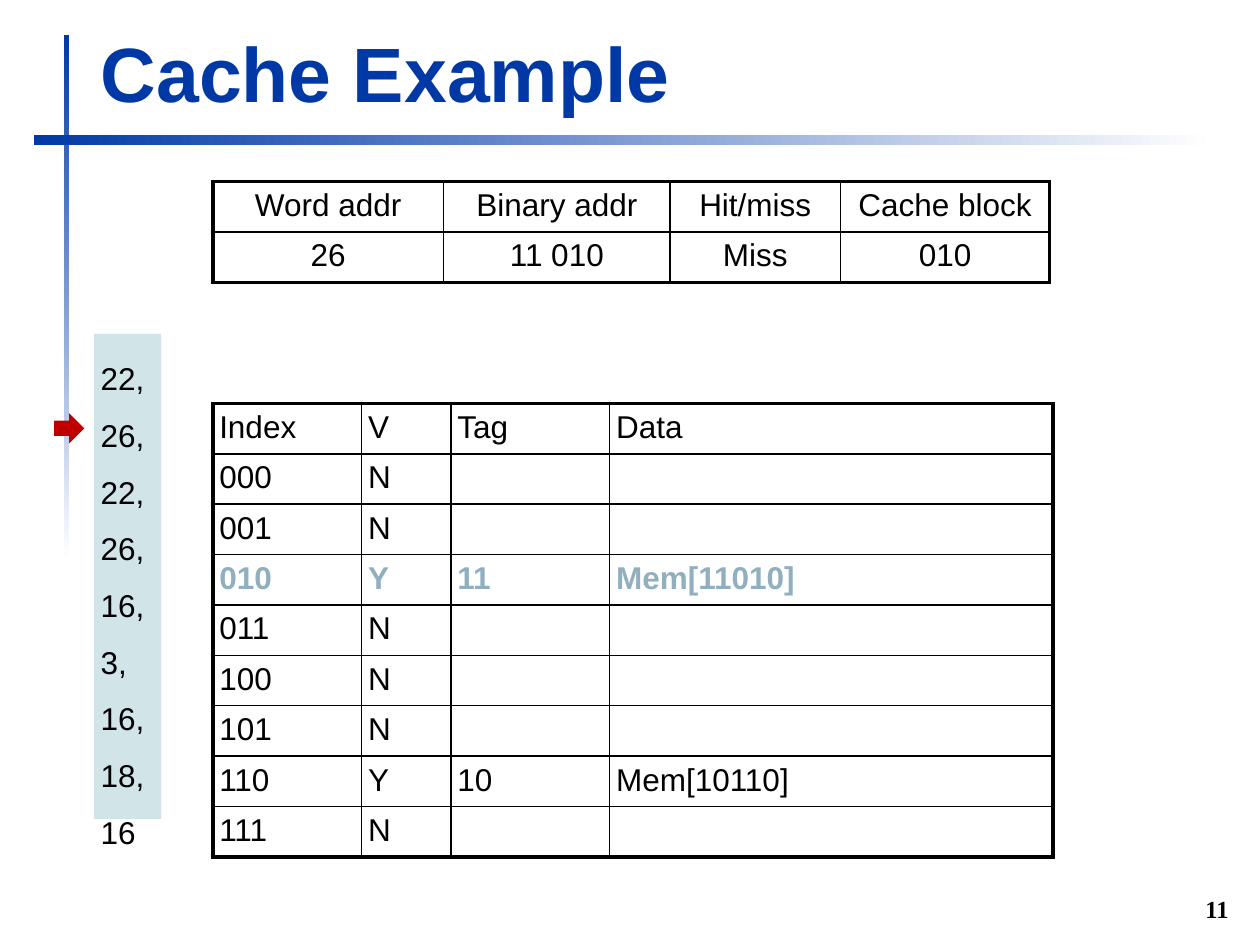
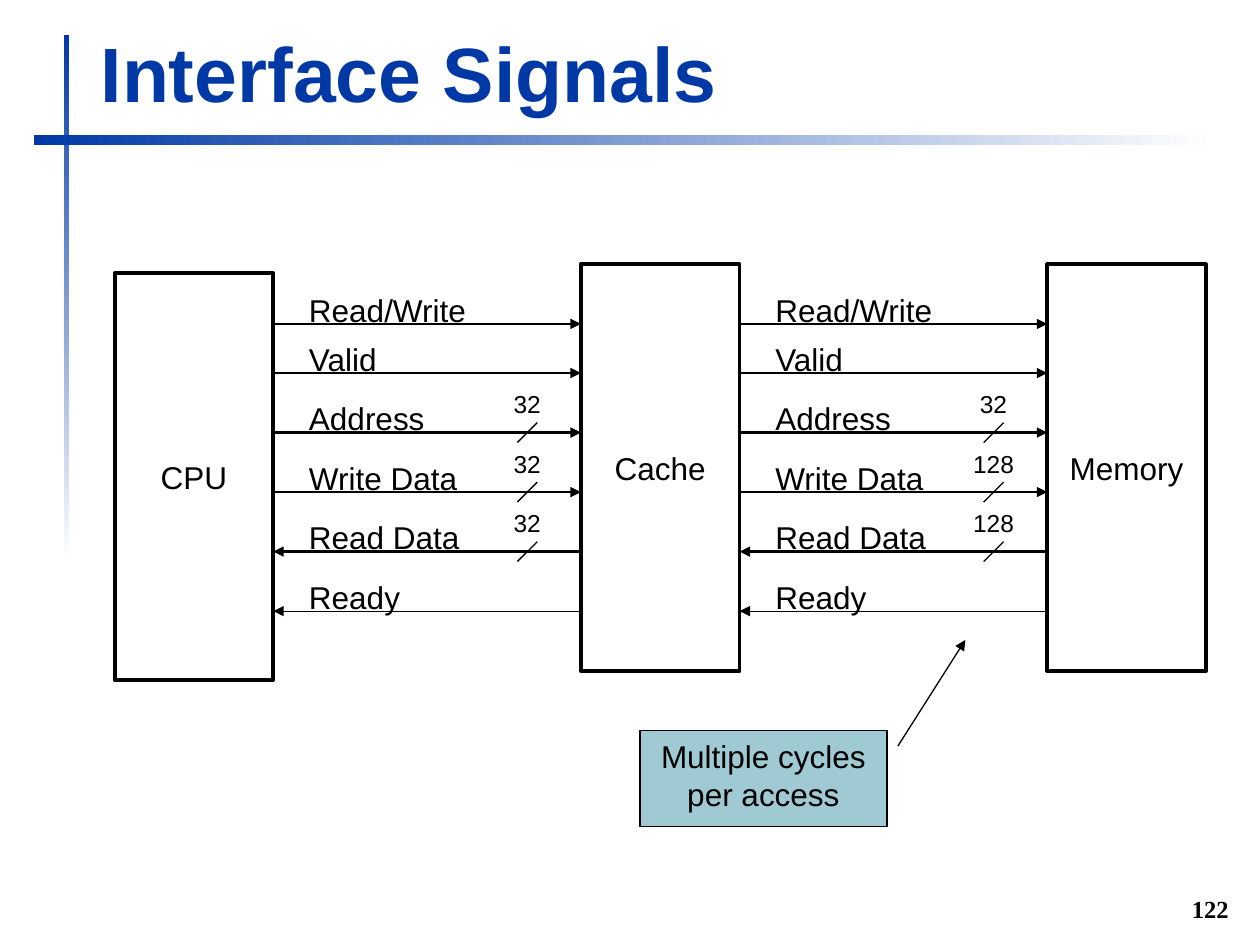
"""Build two slides on caches: a worked lookup and the interface signals."""
import lxml.etree
import pptx
import pptx.dml.color
import pptx.enum.shapes
import pptx.enum.text
import pptx.oxml.ns
import pptx.util

HUES = {"ink": "000000", "blue": "0039A6", "white": "FFFFFF",
        "teal": "9FCAD3", "fresh": "91AFBF", "red": "C00000"}
SANS = "Arial"
SERIF = "Times New Roman"
ALIGN = pptx.enum.text.PP_ALIGN
ANCHOR = pptx.enum.text.MSO_ANCHOR
FORM = pptx.enum.shapes.MSO_SHAPE
INSET = 0.13
ROW = 1.016

LOOKUP = [["Word addr", "Binary addr", "Hit/miss", "Cache block"],
          ["26", "11 010", "Miss", "010"]]
STORE = {"010": ("11", "Mem[11010]"), "110": ("10", "Mem[10110]")}
WORDS = ["22,", "26,", "22,", "26,", "16,", "3,", "16,", "18,", "16"]
WIRES = [("Read/Write", 3.45, 6.53, False), ("Valid", 1.65, 7.52, False),
         ("Address", 2.62, 8.72, False), ("Write Data", 3.28, 9.92, False),
         ("Read Data", 3.33, 11.12, True), ("Ready", 2.13, 12.32, True)]
UNITS = [("CPU", 5.51), ("Cache", 5.33), ("Memory", 5.33)]
LINKS = [{"Address": "32", "Write Data": "32", "Read Data": "32"},
         {"Address": "32", "Write Data": "128", "Read Data": "128"}]
UNIT_LEFT, UNIT_STEP, UNIT_WIDTH = 2.31, 9.4, 3.2


def hue(name):
    return pptx.dml.color.RGBColor.from_string(HUES[name])


def spot(*sizes):
    return [pptx.util.Cm(size) for size in sizes]


def node(parent, tag, **attrs):
    return lxml.etree.SubElement(parent, pptx.oxml.ns.qn(tag), attrs)


def pad(item):
    """Give a cell or a text frame the same inset on each side."""
    item.margin_left = item.margin_right = pptx.util.Cm(INSET)
    item.margin_top = item.margin_bottom = pptx.util.Cm(INSET)


def style(par, size=18, face=SANS, tint="ink", bold=False, align=ALIGN.LEFT):
    par.alignment = align
    par.font.size = pptx.util.Pt(size)
    par.font.name = face
    par.font.bold = bold
    par.font.color.rgb = hue(tint)


def write(shape, text, anchor=ANCHOR.TOP, wrap=False, **look):
    """Put styled text in a shape, one paragraph to a line."""
    frame = shape.text_frame
    frame.text = text
    frame.auto_size = pptx.enum.text.MSO_AUTO_SIZE.NONE
    frame.word_wrap = wrap
    frame.vertical_anchor = anchor
    pad(frame)
    for par in frame.paragraphs:
        style(par, **look)


def label(slide, box, text, **look):
    write(slide.shapes.add_textbox(*spot(*box)), text, **look)


def block(slide, box, fill=None, edge=None, form=FORM.RECTANGLE):
    shape = slide.shapes.add_shape(form, *spot(*box))
    shape.shadow.inherit = False
    if fill:
        shape.fill.solid()
        shape.fill.fore_color.rgb = hue(fill)
    else:
        shape.fill.background()
    if edge:
        shape.line.color.rgb = hue("ink")
        shape.line.width = pptx.util.Pt(edge)
    else:
        shape.line.fill.background()
    return shape


def wire(slide, ends, width=0.75, tip=None):
    """Draw a line; tip names the end that has an arrowhead."""
    line = slide.shapes.add_connector(
        pptx.enum.shapes.MSO_CONNECTOR.STRAIGHT, *spot(*ends))
    line.line.color.rgb = hue("ink")
    line.line.width = pptx.util.Pt(width)
    props = line.element.spPr
    if tip:
        node(props.find(pptx.oxml.ns.qn("a:ln")), tip, type="triangle")
    node(props, "a:effectLst")


def band(slide, box, angle):
    """Draw a bar that fades from white to blue."""
    fill = block(slide, box).fill
    fill.gradient()
    fill.gradient_angle = angle
    for stop, name in zip(fill.gradient_stops, ("white", "blue")):
        stop.color.rgb = hue(name)


def page(deck, title, number):
    """Add a slide with the shared bars, title and page number."""
    slide = deck.slides.add_slide(deck.slide_layouts[5])
    band(slide, (1.3, 0.71, 0.1, 10.59), 90)
    band(slide, (0.69, 2.72, 23.8, 0.2), 180)
    head = slide.shapes.title
    head.left, head.top, head.width, head.height = spot(1.9, 0.4, 22.95, 2.1)
    write(head, title, ANCHOR.BOTTOM, True, size=44, tint="blue", bold=True)
    width = 0.25 + 0.28 * len(number)
    label(slide, (24.9 - width, 17.93, width, 0.81), number,
          anchor=ANCHOR.BOTTOM, size=14, face=SERIF, bold=True,
          align=ALIGN.RIGHT)
    return slide


def rule(cell, sides):
    """Set the borders of a cell: left, right, top and bottom widths."""
    props = cell._tc.get_or_add_tcPr()
    for spot_no, (side, width) in enumerate(zip("LRTB", sides)):
        edge = node(props, "a:ln" + side, w=str(pptx.util.Pt(width)))
        node(node(edge, "a:solidFill"), "a:srgbClr", val=HUES["ink"])
        props.insert(spot_no, edge)


def grid(slide, left, top, widths, rows, align=ALIGN.LEFT, fresh=None):
    """Add a ruled table; the row that starts with fresh stands out."""
    table = slide.shapes.add_table(
        len(rows), len(widths),
        *spot(left, top, sum(widths), ROW * len(rows))).table
    table.first_row = table.horz_banding = False
    for column, width in zip(table.columns, widths):
        column.width = pptx.util.Cm(width)
    across = [2.25] + [1] * (len(widths) - 1) + [2.25]
    down = [2.25, 1.5] + [1] * (len(rows) - 2) + [2.25]
    for r, row in enumerate(rows):
        new = row[0] == fresh
        for c, text in enumerate(row):
            cell = table.cell(r, c)
            cell.text = text
            cell.fill.background()
            pad(cell)
            par = cell.text_frame.paragraphs[0]
            par.space_before = pptx.util.Pt(4)
            style(par, tint="fresh" if new else "ink", bold=new, align=align)
            rule(cell, across[c:c + 2] + down[r:r + 2])


def trace(slide):
    """Add the list of word addresses and the arrow at the current one."""
    strip = block(slide, (1.9, 6.73, 1.35, 9.78), "teal")
    tint = strip.element.find(".//" + pptx.oxml.ns.qn("a:srgbClr"))
    node(tint, "a:alpha", val="48000")
    write(strip, "\n".join(WORDS))
    for par in strip.text_frame.paragraphs:
        par.line_spacing = 1.5
    block(slide, (1.09, 8.33, 0.61, 0.61), "red", form=FORM.RIGHT_ARROW)


def bus(slide, left, bits):
    """Draw the signals between the unit at left and the next one."""
    start, end, mid = left + UNIT_WIDTH, left + UNIT_STEP, left + 8.32
    for name, width, y, back in WIRES:
        wire(slide, (start, y, end, y), 1.5 if name in bits else 0.75,
             "a:headEnd" if back else "a:tailEnd")
        label(slide, (left + 3.79, y - 0.8, width, 0.97), name)
        if name in bits:
            wire(slide, (mid - 0.2, y + 0.2, mid + 0.2, y - 0.2))
            span = 0.28 * len(bits[name])
            label(slide, (mid - span / 2, y - 1, span, 0.81), bits[name],
                  size=14, align=ALIGN.CENTER)


def main():
    deck = pptx.Presentation()
    deck.slide_width, deck.slide_height = spot(25.4, 19.05)

    slide = page(deck, "Cache Example", "11")
    cache = [["Index", "V", "Tag", "Data"]]
    for number in range(8):
        index = f"{number:03b}"
        cache.append([index, "Y" if index in STORE else "N",
                      *STORE.get(index, ("", ""))])
    grid(slide, 4.29, 8.13, [3, 1.8, 3.2, 8.94], cache, fresh="010")
    grid(slide, 4.29, 3.66, [4.65, 4.57, 3.43, 4.22], LOOKUP, ALIGN.CENTER)
    trace(slide)

    slide = page(deck, "Interface Signals", "122")
    lefts = [UNIT_LEFT + UNIT_STEP * i for i in range(len(UNITS))]
    for left, (name, top) in zip(lefts, UNITS):
        unit = block(slide, (left, top, UNIT_WIDTH, 8.2), edge=2.25)
        write(unit, name, ANCHOR.MIDDLE, align=ALIGN.CENTER)
    for left, bits in zip(lefts, LINKS):
        bus(slide, left, bits)
    note = block(slide, (12.9, 14.73, 4.98, 1.93), "teal", 0.75)
    write(note, "Multiple cycles per access", wrap=True, align=ALIGN.CENTER)
    wire(slide, (19.46, 12.9, 18.1, 15.04), tip="a:headEnd")

    deck.save("out.pptx")


if __name__ == "__main__":
    main()
